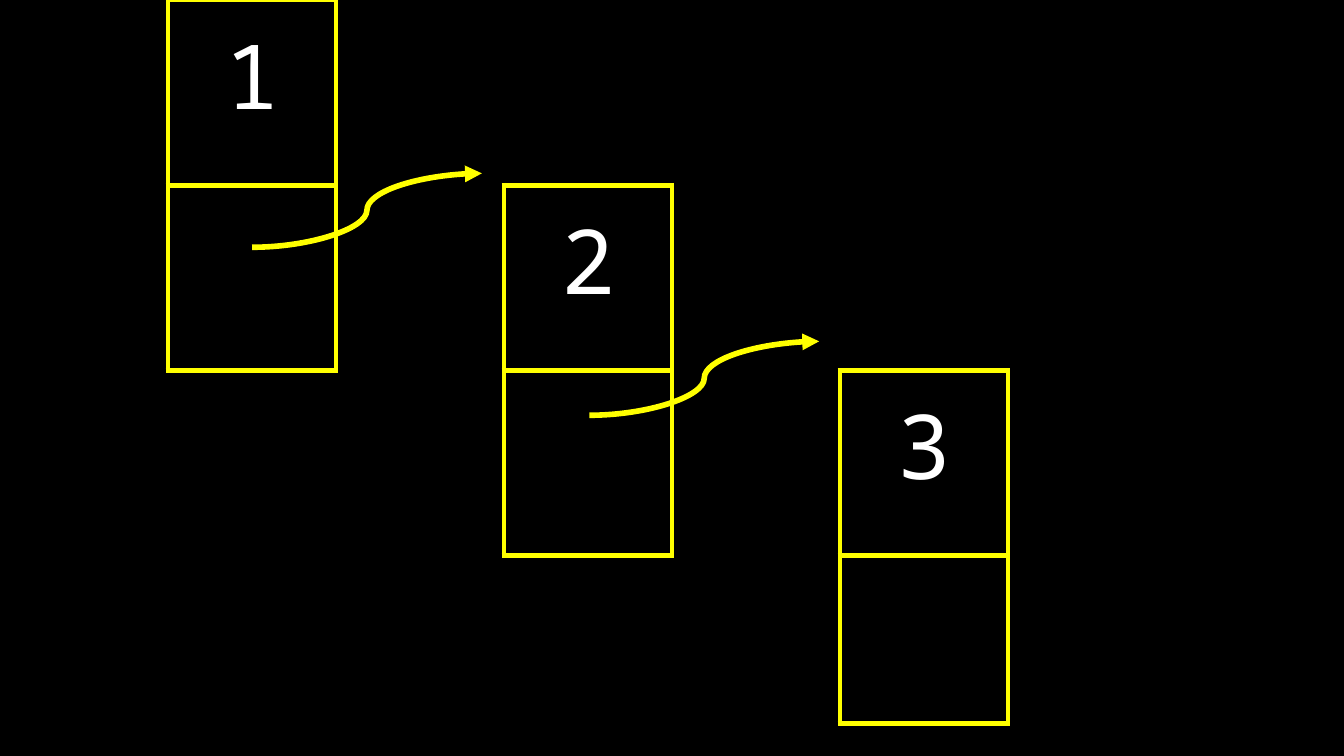
from lxml import etree
from pptx import Presentation
from pptx.dml.color import RGBColor
from pptx.enum.shapes import MSO_CONNECTOR as Connector
from pptx.enum.text import MSO_ANCHOR as Anchor, PP_ALIGN as Align
from pptx.oxml import parse_xml
from pptx.oxml.ns import qn
from pptx.util import Inches, Pt

NAMESPACE = "http://schemas.openxmlformats.org/drawingml/2006/main"
NO_STYLE = "{2D5ABB26-0587-4C30-8999-92F81FD0307C}"
YELLOW, WHITE, BLACK = "FFFF00", "FFFFFF", "000000"
LINE_WIDTH = Pt(3)
UNIT = 1.25  # side of one grid cell in inches
COLUMNS, ROWS = 8, 5
WIDTH = COLUMNS * UNIT


def color(value):
    return RGBColor.from_string(value)


def add_border(cell):
    properties = cell._tc.get_or_add_tcPr()
    for index, side in enumerate(("lnL", "lnR", "lnT", "lnB")):
        properties.insert(index, parse_xml(
            f'<a:{side} xmlns:a="{NAMESPACE}" w="{LINE_WIDTH}"><a:solidFill>'
            f'<a:srgbClr val="{YELLOW}"/></a:solidFill></a:{side}>'))


# Black 16:9 slide
presentation = Presentation()
presentation.slide_width = Inches(WIDTH)
presentation.slide_height = Inches(WIDTH * 9 / 16)
slide = presentation.slides.add_slide(presentation.slide_layouts[6])
slide.background.fill.solid()
slide.background.fill.fore_color.rgb = color(BLACK)

# Grid without visible lines
frame = slide.shapes.add_table(
    ROWS, COLUMNS, 0, 0, Inches(WIDTH), Inches(ROWS * UNIT))
table = frame.table
table.first_row = table.horz_banding = False
table._tbl.tblPr.find(qn("a:tableStyleId")).text = NO_STYLE
for cell in table.iter_cells():
    cell.fill.background()

# List nodes: a value cell above a pointer cell, stepping down to the right
cell_format = {
    "vertical_anchor": Anchor.MIDDLE,
    "margin_left": Inches(0.1), "margin_right": Inches(0.1),
    "margin_top": Inches(0.1),
    "margin_bottom": Inches(0.37),  # stretches the rows that hold values
}
font_format = {"name": "Noto Sans Mono", "size": Pt(48)}
for row, value in enumerate(("1", "2", "3")):
    column = 1 + 2 * row
    for node_row in (row, row + 1):
        add_border(table.cell(node_row, column))
    value_cell = table.cell(row, column)
    for name, setting in cell_format.items():
        setattr(value_cell, name, setting)
    paragraph = value_cell.text_frame.paragraphs[0]
    paragraph.alignment = Align.CENTER
    run = paragraph.add_run()
    run.text = value
    for name, setting in font_format.items():
        setattr(run.font, name, setting)
    run.font.color.rgb = color(WHITE)

# Pointers to the next node
for step in range(2):
    left, bottom = 1.5 * UNIT + 2.51 * step, 1.84 + UNIT * step
    arrow = slide.shapes.add_connector(
        Connector.CURVE, Inches(left), Inches(bottom),
        Inches(left + 1.71), Inches(bottom - 0.55))
    arrow.line.width = LINE_WIDTH
    arrow.line.color.rgb = color(YELLOW)
    etree.SubElement(arrow.line._get_or_add_ln(), qn("a:tailEnd"), type="triangle")
    etree.SubElement(arrow._element.spPr, qn("a:effectLst"))

presentation.save("out.pptx")
